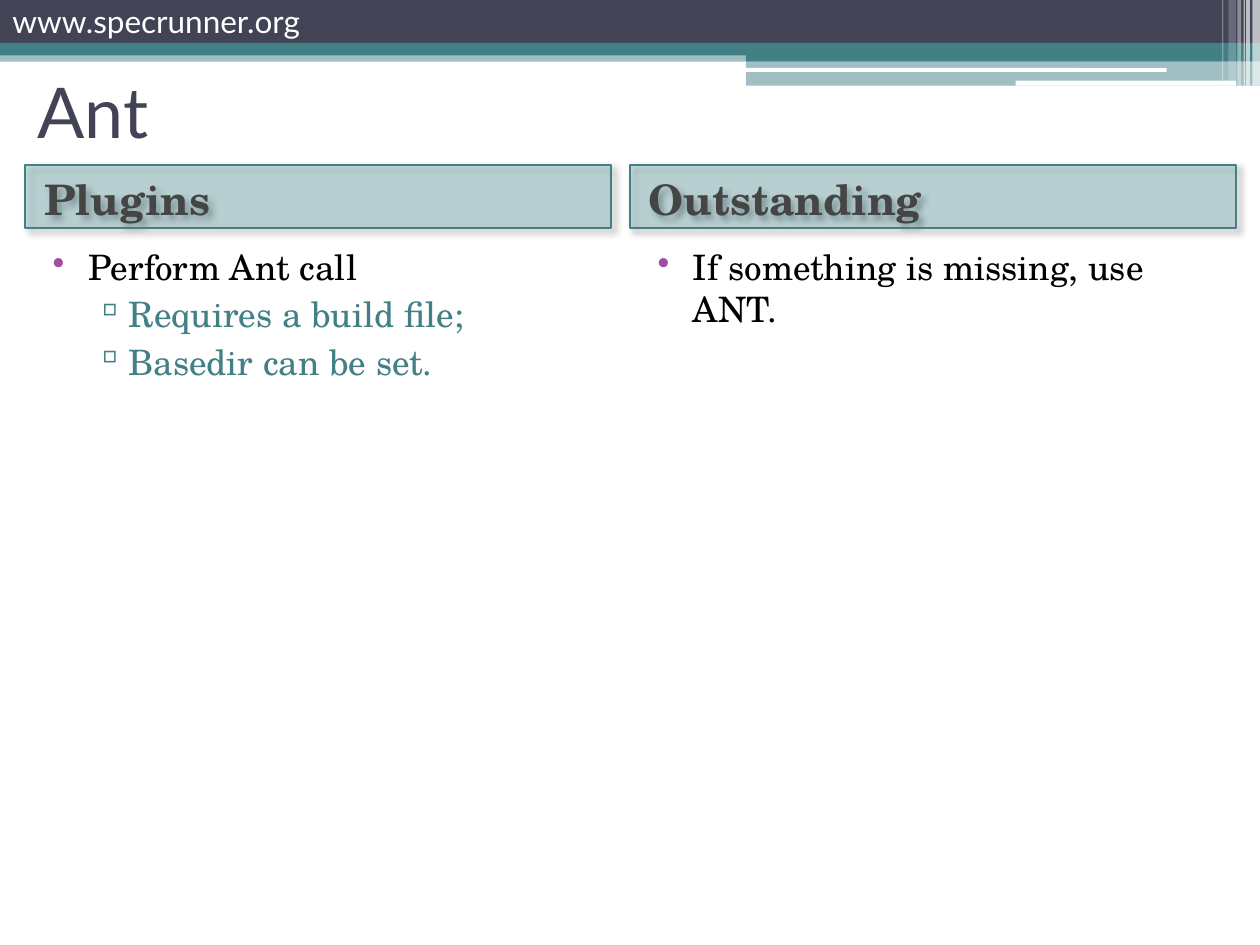
from lxml.etree import SubElement
from pptx import Presentation
from pptx.dml.color import RGBColor
from pptx.enum.shapes import MSO_SHAPE
from pptx.enum.text import MSO_ANCHOR, PP_ALIGN
from pptx.oxml.ns import qn
from pptx.util import Inches, Pt

COLORS = {
    "navy": "424456", "teal": "438086", "header": "328E97", "heading": "454545",
    "purple": "A04DA3", "white": "FFFFFF", "black": "000000",
}
HEAD_FONT, BODY_FONT = "Lato", "TeX Gyre Schola"
COLUMNS, ROWS = 100, 75
BULLETS = [("•", "purple", "black", 0.4, -0.28), ("▫", "teal", "teal", 0.72, -0.27)]


def color(name):
    return RGBColor.from_string(COLORS[name])


def add_bullet(paragraph, level):
    symbol, bullet_color, _, margin, indent = BULLETS[level]
    properties = paragraph._p.get_or_add_pPr()
    properties.set("marL", str(Inches(margin)))
    properties.set("indent", str(Inches(indent)))
    tint = SubElement(properties, qn("a:buClr"))
    SubElement(tint, qn("a:srgbClr"), val=COLORS[bullet_color])
    SubElement(properties, qn("a:buChar"), char=symbol)


def write(frame, lines, size, font, ink=None, bold=False, bullets=False,
          anchor=MSO_ANCHOR.MIDDLE, left=0.1, top=0.05):
    frame.word_wrap = True
    frame.vertical_anchor = anchor
    frame.margin_left, frame.margin_top = Inches(left), Inches(top)
    for index, (level, words) in enumerate(lines):
        paragraph = frame.add_paragraph() if index else frame.paragraphs[0]
        paragraph.text = words
        paragraph.level = level
        paragraph.alignment = PP_ALIGN.LEFT
        if bullets:
            add_bullet(paragraph, level)
        paragraph.space_before = Pt(3 if index else 0)
        style = paragraph.runs[0].font
        style.size, style.name, style.bold = Pt(size), font, bold
        style.color.rgb = color(ink or BULLETS[level][2])


class Deck:
    def __init__(self):
        self.presentation = Presentation()
        self.presentation.slide_width = Inches(10)
        self.presentation.slide_height = Inches(7.5)
        self.column = self.presentation.slide_width / COLUMNS
        self.row = self.presentation.slide_height / ROWS
        self.slide = self.presentation.slides.add_slide(
            self.presentation.slide_layouts[5])

    def place(self, left, top, width, height):
        return (round(left * self.column), round(top * self.row),
                round(width * self.column), round(height * self.row))

    def bar(self, area, fill, opacity=100, rounded=False):
        kind = MSO_SHAPE.ROUNDED_RECTANGLE if rounded else MSO_SHAPE.RECTANGLE
        bar = self.slide.shapes.add_shape(kind, *self.place(*area))
        bar.shadow.inherit = False
        bar.fill.solid()
        bar.fill.fore_color.rgb = color(fill)
        bar.line.fill.background()
        if opacity < 100:
            tint = bar.element.spPr.find(qn("a:solidFill"))[0]
            SubElement(tint, qn("a:alpha"), val=str(opacity * 1000))
        return bar

    def title(self, area, words):
        title = self.slide.shapes.title
        title.left, title.top, title.width, title.height = self.place(*area)
        write(title.text_frame, [(0, words)], 40, HEAD_FONT, "navy")
        title.element.getparent().append(title.element)

    def header(self, area, words):
        header = self.bar(area, "header", 25)
        header.line.color.rgb = color("teal")
        header.line.width = Pt(1)
        effects = header.element.spPr.find(qn("a:effectLst"))
        shadow = SubElement(effects, qn("a:outerShdw"), blurRad=str(Pt(4)),
                            dist=str(Pt(3)), dir=str(45 * 60000))
        tint = SubElement(shadow, qn("a:srgbClr"), val=COLORS["black"])
        SubElement(tint, qn("a:alpha"), val="40000")
        write(header.text_frame, [(0, words)], 24, BODY_FONT, "heading",
              bold=True, left=0.15, top=0.09)

    def body(self, area, lines):
        body = self.slide.shapes.add_textbox(*self.place(*area))
        write(body.text_frame, lines, 20, BODY_FONT, bullets=True,
              anchor=MSO_ANCHOR.TOP, top=0.09)


def main():
    deck = Deck()
    deck.bar((0, 4, 100, 0.9), "teal", 50)
    banner = deck.bar((0, 0, 100, 3.4), "navy")
    write(banner.text_frame, [(0, "www.specrunner.org")], 18, HEAD_FONT, "white")
    deck.bar((0, 3.4, 100, 1), "teal")
    deck.bar((59.2, 3.9, 40.8, 0.95), "teal")
    deck.bar((59.2, 4.85, 40.8, 1.95), "teal", 50)
    for area in [(59.1, 5.4, 33.5, 0.3), (80.6, 6.4, 17.5, 0.4)]:
        deck.bar(area, "white", rounded=True)
    stripes = [(99.4, 0.6, 6.8, 65), (98.9, 0.3, 6.8, 65), (98.7, 0.1, 6.8, 60),
               (98.2, 0.3, 6.8, 40), (97.5, 0.6, 6.4, 20), (97, 0.1, 6.4, 30)]
    for left, width, height, opacity in stripes:
        deck.bar((left, 0, width, height), "white", opacity)

    deck.title((2, 4.4, 96.1, 8.7), "Ant")
    topics = [
        (2, 46.5, "Plugins", [(0, "Perform Ant call"),
                              (1, "Requires a build file;"),
                              (1, "Basedir can be set.")]),
        (50, 48.1, "Outstanding", [(0, "If something is missing, use ANT.")]),
    ]
    for left, width, heading, points in topics:
        deck.header((left, 13.1, width, 5), heading)
        deck.body((left, 18.6, width, 53.5), points)
    deck.presentation.save("out.pptx")


if __name__ == "__main__":
    main()
